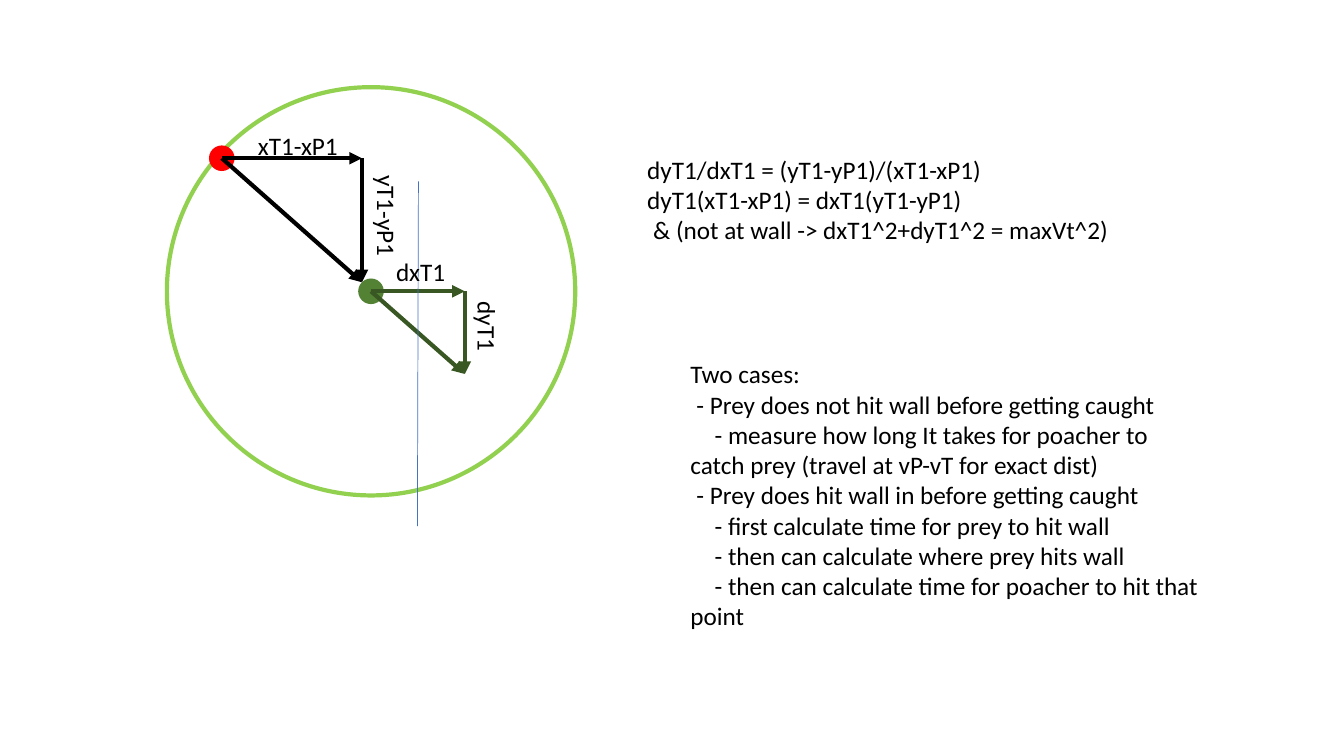
"""Draw the pursuit geometry of a poacher and its prey, with the two cases to solve."""
from dataclasses import dataclass

from pptx import Presentation
from pptx.dml.color import RGBColor
from pptx.enum.shapes import MSO_CONNECTOR as Connector, MSO_SHAPE as Shape
from pptx.enum.text import MSO_AUTO_SIZE as AutoSize
from pptx.oxml.ns import qn
from pptx.util import Inches, Pt


@dataclass(frozen=True)
class Theme:
    font: str = "Calibri"
    text_size: float = 18
    text: str = "000000"
    wall: str = "92D050"
    poacher: str = "FF0000"
    prey: str = "548235"
    pursuit: str = "000000"
    escape: str = "385723"
    guide: str = "4472C4"
    thick: float = 3
    thin: float = 1
    hairline: float = 0.5


def write_text(frame, text, *, font, size, color, indents=None):
    lines = text.split("\n")
    for index, line in enumerate(lines):
        paragraph = frame.paragraphs[0] if index == 0 else frame.add_paragraph()
        run = paragraph.add_run()
        run.text = line
        run.font.name = font
        run.font.size = Pt(size)
        run.font.color.rgb = RGBColor.from_string(color)
        if indents and indents[index]:
            properties = paragraph._p.get_or_add_pPr()
            properties.set("marL", "0")
            properties.set("indent", str(Inches(indents[index])))


class Diagram:
    def __init__(self, slide, theme):
        self.slide = slide
        self.theme = theme

    def circle(self, center, diameter, color, width, filled=True):
        left, top = (Inches(value - diameter / 2) for value in center)
        size = Inches(diameter)
        shape = self.slide.shapes.add_shape(Shape.OVAL, left, top, size, size)
        shape.shadow.inherit = False
        if filled:
            shape.fill.solid()
            shape.fill.fore_color.rgb = RGBColor.from_string(color)
        else:
            shape.fill.background()
        shape.line.color.rgb = RGBColor.from_string(color)
        shape.line.width = Pt(width)

    def line(self, start, end, color, width, arrow=False):
        points = [Inches(value) for value in (*start, *end)]
        connector = self.slide.shapes.add_connector(Connector.STRAIGHT, *points)
        connector.line.color.rgb = RGBColor.from_string(color)
        connector.line.width = Pt(width)
        properties = connector._element.spPr
        if arrow:
            outline = properties.find(qn("a:ln"))
            tail = outline.makeelement(qn("a:tailEnd"), {"type": "triangle"})
            outline.append(tail)
        properties.append(properties.makeelement(qn("a:effectLst"), {}))

    def vector(self, start, end, color):
        corner = (end[0], start[1])
        for source, target in ((start, end), (start, corner), (corner, end)):
            self.line(source, target, color, self.theme.thick, arrow=True)

    def text(self, left, top, width, height, text, rotation=0, indents=None):
        box = self.slide.shapes.add_textbox(
            Inches(left), Inches(top), Inches(width), Inches(height))
        box.rotation = rotation
        box.text_frame.word_wrap = True
        box.text_frame.auto_size = AutoSize.SHAPE_TO_FIT_TEXT
        write_text(box.text_frame, text, font=self.theme.font,
                   size=self.theme.text_size, color=self.theme.text, indents=indents)


def main():
    presentation = Presentation()
    presentation.slide_width = Inches(13.33)
    presentation.slide_height = Inches(7.5)
    slide = presentation.slides.add_slide(presentation.slide_layouts[6])
    theme = Theme()
    diagram = Diagram(slide, theme)

    poacher, prey = (2.2, 1.57), (3.68, 2.89)
    diagram.circle(prey, 4.05, theme.wall, theme.thick, filled=False)
    diagram.circle(poacher, 0.24, theme.poacher, theme.thin)
    diagram.circle(prey, 0.24, theme.prey, theme.thin)
    diagram.vector(poacher, (3.59, 2.8), theme.pursuit)
    diagram.vector(prey, (4.61, 3.71), theme.escape)
    diagram.line((4.15, 1.8), (4.14, 5.22), theme.guide, theme.hairline)

    for left, top, width, label, rotation in (
        (2.46, 1.24, 1.1, "xT1-xP1", 0),
        (3.29, 1.99, 1.1, "yT1-yP1", 90),
        (3.83, 2.49, 0.83, "dxT1", 0),
        (4.42, 3.11, 0.83, "dyT1", 90),
    ):
        diagram.text(left, top, width, 0.4, label, rotation)

    space = 0.06
    case, step = space, 4 * space
    diagram.text(
        6.32, 1.48, 4.82, 1.31,
        "dyT1/dxT1 = (yT1-yP1)/(xT1-xP1)\n"
        "dyT1(xT1-xP1) = dxT1(yT1-yP1)\n"
        "& (not at wall -> dxT1^2+dyT1^2 = maxVt^2)",
        indents=(0, 0, space))
    diagram.text(
        6.75, 3.51, 5.3, 2.83,
        "Two cases:\n"
        "- Prey does not hit wall before getting caught\n"
        "- measure how long It takes for poacher to catch prey "
        "(travel at vP-vT for exact dist)\n"
        "- Prey does hit wall in before getting caught\n"
        "- first calculate time for prey to hit wall\n"
        "- then can calculate where prey hits wall\n"
        "- then can calculate time for poacher to hit that point",
        indents=(0, case, step, case, step, step, step))

    presentation.save("out.pptx")


main()
